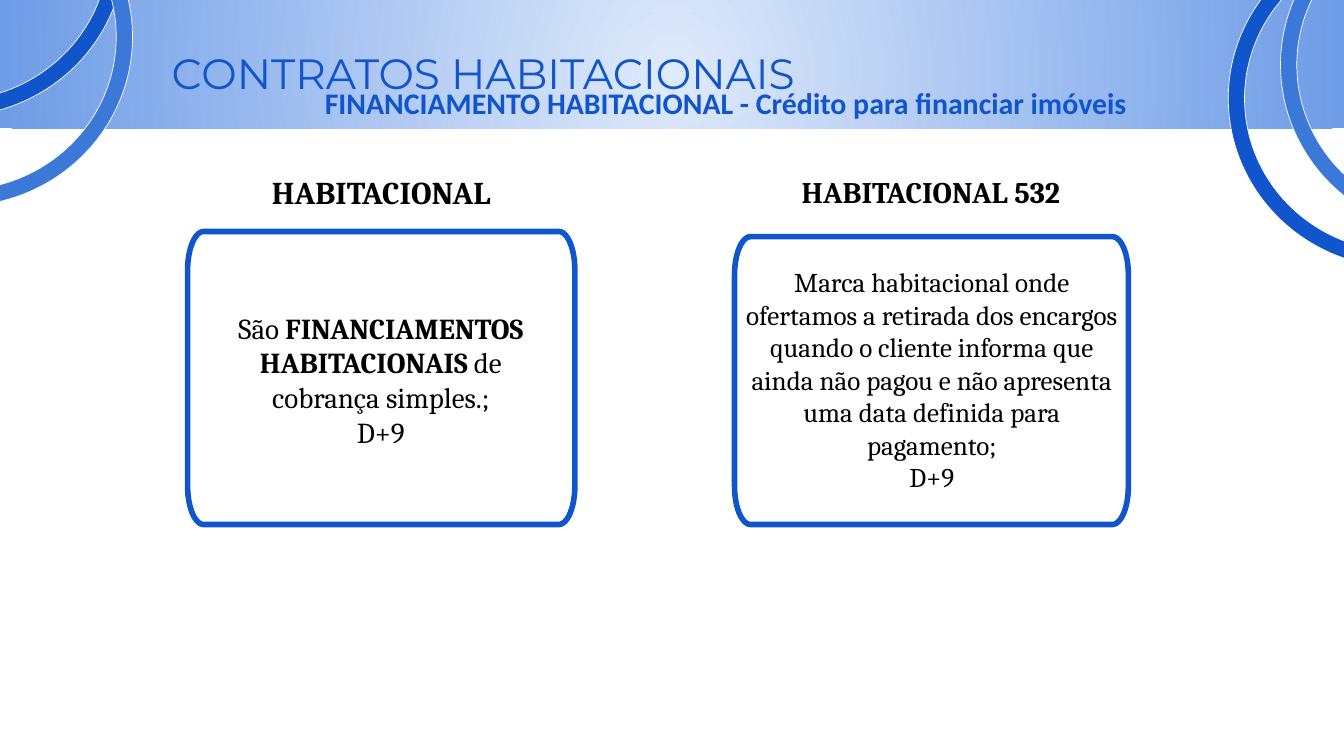
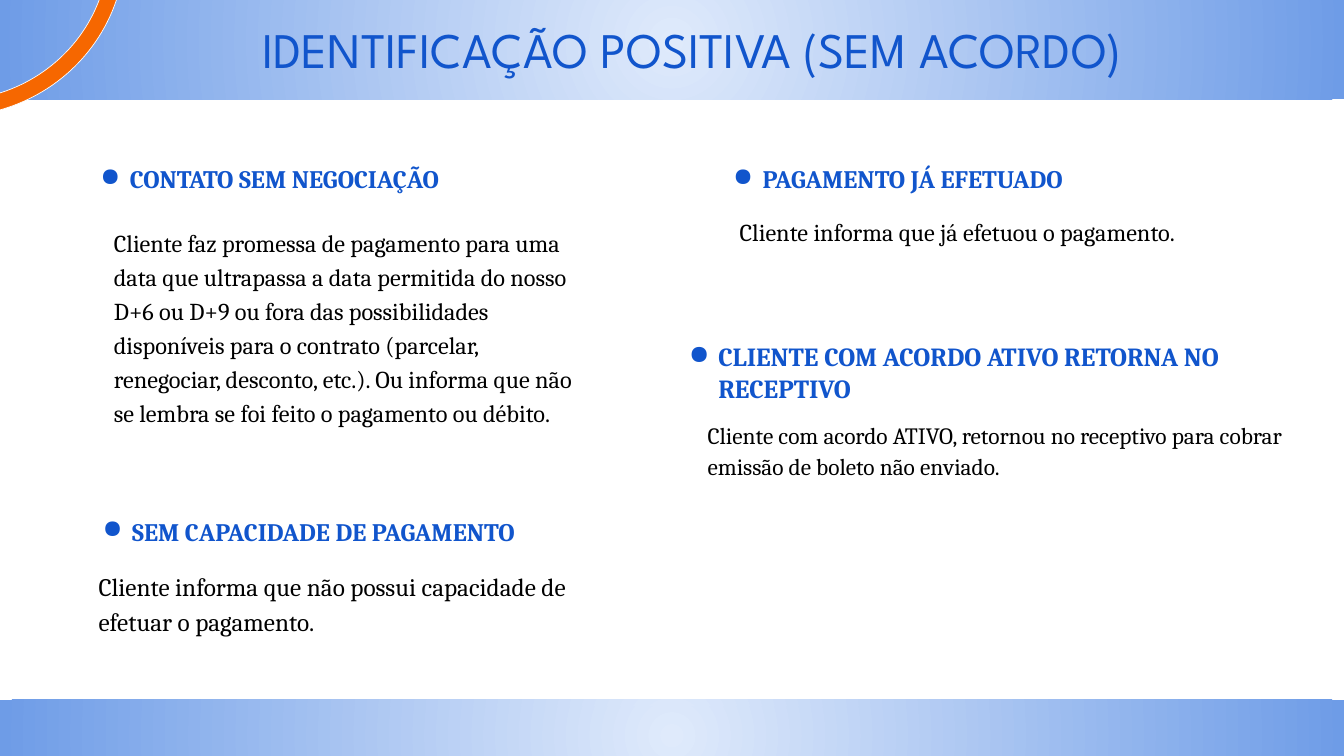
from dataclasses import dataclass
from math import cos, pi, sin
from typing import Any

from lxml.etree import SubElement
from pptx import Presentation
from pptx.dml.color import RGBColor
from pptx.enum.shapes import MSO_SHAPE
from pptx.enum.text import MSO_ANCHOR, MSO_AUTO_SIZE, PP_ALIGN
from pptx.oxml.ns import qn
from pptx.util import Pt

Area = tuple[float, float, float, float]
Run = tuple[str, bool]


@dataclass(frozen=True)
class Theme:
    blue: str = "1155CC"
    mid_blue: str = "3C78D8"
    orange: str = "F66700"
    black: str = "000000"
    white: str = "FFFFFF"
    glow: str = "DFEAFB"
    band: str = "6E9CE7"
    title_font: str = "Montserrat"
    wide_font: str = "League Spartan"
    sub_font: str = "Calibri"
    body_font: str = "Cambria"
    title_size: float = 45.3
    wide_size: float = 53.3
    sub_size: float = 32
    card_line: float = 6
    thin_line: float = 0.75
    body_spacing: float = 1.17
    title_spacing: float = 1.39


T = Theme()
WIDTH, HEIGHT = 1440, 810


@dataclass(frozen=True)
class Style:
    size: float
    font: str = T.body_font
    color: str = T.black
    align: PP_ALIGN = PP_ALIGN.LEFT
    spacing: float = 1.0
    inset: float = 7.2
    bottom: float | None = None
    indent: float = 0
    bullet: bool = False
    grow: bool = False
    outlined: bool = False
    anchor: MSO_ANCHOR = MSO_ANCHOR.TOP


@dataclass(frozen=True)
class Label:
    area: Area
    paragraphs: list[list[Run]]
    style: Style


@dataclass(frozen=True)
class Ring:
    left: float
    top: float
    color: str


@dataclass(frozen=True)
class Band:
    top: float
    height: float


def line(text: str, bold: bool = False) -> list[list[Run]]:
    return [[(text, bold)]]


def heading(size: float, spacing: float = T.body_spacing, grow: bool = True) -> Style:
    return Style(size, color=T.blue, spacing=spacing, bullet=True, grow=grow)


def centered(size: float, inset: float) -> Style:
    return Style(size, align=PP_ALIGN.CENTER, inset=inset, grow=True)


def assign(target: Any, values: dict[str, Any]) -> None:
    for name, value in values.items():
        setattr(target, name, value)


def box(area: Area) -> list[int]:
    return [Pt(v) for v in area]


def outline(s: Any, color: str, width: float) -> None:
    s.shadow.inherit = False
    s.line.color.rgb = RGBColor.from_string(color)
    s.line.width = Pt(width)


def draw_band(slide: Any, band: Band) -> None:
    lip = round(band.height * 0.094, 2)
    for drop in (0, lip):
        area = (0, band.top + drop, WIDTH, band.height - drop)
        s = slide.shapes.add_shape(MSO_SHAPE.RECTANGLE, *box(area))
        s.shadow.inherit = False
        s.line.fill.background()
        s.fill.gradient()
        for stop, color in zip(s.fill.gradient_stops, (T.glow, T.band)):
            stop.color.rgb = RGBColor.from_string(color)
        grad = s._element.spPr.find(qn("a:gradFill"))
        grad.remove(grad.find(qn("a:lin")))
        radial = SubElement(grad, qn("a:path"), {"path": "circle"})
        SubElement(radial, qn("a:fillToRect"), {side: "50000" for side in "ltrb"})


def draw_ring(slide: Any, ring: Ring) -> None:
    s = slide.shapes.add_shape(MSO_SHAPE.DONUT, *box((ring.left, ring.top, 372, 363)))
    s.adjustments[0] = 0.048
    s.fill.solid()
    s.fill.fore_color.rgb = RGBColor.from_string(ring.color)
    outline(s, T.white, T.thin_line)


def draw_card(slide: Any, area: Area, steps: int = 12) -> None:
    left, top, width, height = area
    rx, ry = 17.3, height * 0.133
    corners = [
        (left + width - rx, top + ry, -pi / 2),
        (left + width - rx, top + height - ry, 0),
        (left + rx, top + height - ry, pi / 2),
        (left + rx, top + ry, pi),
    ]
    points = [
        (Pt(x + rx * cos(start + i * pi / 2 / steps)), Pt(y + ry * sin(start + i * pi / 2 / steps)))
        for x, y, start in corners
        for i in range(steps + 1)
    ]
    builder = slide.shapes.build_freeform(*points[0])
    builder.add_line_segments(points[1:], close=True)
    s = builder.convert_to_shape()
    s.fill.background()
    outline(s, T.blue, T.card_line)


def add_bullet(p: Any) -> None:
    pPr = p._p.get_or_add_pPr()
    pPr.set("marL", str(Pt(36)))
    pPr.set("indent", str(-Pt(31.5)))
    color = SubElement(pPr, qn("a:buClr"))
    SubElement(color, qn("a:srgbClr"), val=T.blue)
    SubElement(pPr, qn("a:buChar"), char="●")


def draw_label(slide: Any, label: Label) -> None:
    st = label.style
    if st.outlined:
        s = slide.shapes.add_shape(MSO_SHAPE.RECTANGLE, *box(label.area))
        s.fill.background()
        outline(s, T.white, T.thin_line)
    else:
        s = slide.shapes.add_textbox(*box(label.area))
    tf = s.text_frame
    bottom = st.inset if st.bottom is None else st.bottom
    assign(tf, {
        "word_wrap": True,
        "auto_size": MSO_AUTO_SIZE.SHAPE_TO_FIT_TEXT if st.grow else MSO_AUTO_SIZE.NONE,
        "vertical_anchor": st.anchor,
        "margin_left": Pt(st.inset),
        "margin_right": Pt(st.inset),
        "margin_top": Pt(st.inset),
        "margin_bottom": Pt(bottom),
    })
    for i, runs in enumerate(label.paragraphs):
        p = tf.add_paragraph() if i else tf.paragraphs[0]
        if st.bullet:
            add_bullet(p)
        elif st.indent:
            p._p.get_or_add_pPr().set("marL", str(Pt(st.indent)))
        assign(p, {"alignment": st.align, "line_spacing": st.spacing})
        for text, bold in runs:
            r = p.add_run()
            r.text = text
            assign(r.font, {"name": st.font, "size": Pt(st.size), "bold": bold})
            r.font.color.rgb = RGBColor.from_string(st.color)


def build_contracts(slide: Any) -> None:
    draw_band(slide, Band(0, 137.5))
    for ring in (Ring(-238, -238, T.blue), Ring(1316, -76, T.blue)):
        draw_ring(slide, ring)
    draw_label(slide, Label(
        (184, 29.5, 732, 55), line("CONTRATOS HABITACIONAIS"),
        Style(T.title_size, T.title_font, T.blue, spacing=T.title_spacing, inset=0, grow=True)))
    draw_label(slide, Label(
        (295, 77, 966, 55),
        line("FINANCIAMENTO HABITACIONAL - Crédito para financiar imóveis", True),
        Style(T.sub_size, T.sub_font, T.blue, PP_ALIGN.CENTER, T.body_spacing)))
    for ring in (Ring(-230, -142, T.mid_blue), Ring(1372, -112, T.mid_blue)):
        draw_ring(slide, ring)
    for area in ((201, 248, 415, 314), (787, 253.5, 422, 308.5)):
        draw_card(slide, area)
    deadline = line("D+9")
    labels = [
        Label((793, 284.5, 411, 246), line(
            "Marca habitacional onde ofertamos a retirada dos encargos quando o cliente "
            "informa que ainda não pagou e não apresenta uma data definida para pagamento;"
        ) + deadline, centered(29, 0)),
        Label((219, 332.5, 378, 150), [[
            ("São ", False), ("FINANCIAMENTOS HABITACIONAIS", True),
            (" de cobrança simples.;", False)]] + deadline, centered(31, 0)),
        Label((827, 178.5, 341, 53), line("HABITACIONAL 532", True), centered(32, 7.2)),
        Label((255, 178, 307, 55), line("HABITACIONAL", True), centered(34, 7.2)),
    ]
    for label in labels:
        draw_label(slide, label)


def build_identification(slide: Any) -> None:
    draw_band(slide, Band(-31, 137.5))
    draw_ring(slide, Ring(-238, -238, T.orange))
    draw_band(slide, Band(750, 70))
    note = {"spacing": T.body_spacing, "outlined": True}
    labels = [
        Label((145.5, -5, 1192, 86), line("IDENTIFICAÇÃO POSITIVA (SEM ACORDO)"),
              Style(T.wide_size, T.wide_font, T.blue, PP_ALIGN.CENTER, T.title_spacing, 0)),
        Label((788, 223, 513, 125), line("Cliente informa que já efetuou o pagamento."),
              Style(26, inset=4.5, **note)),
        Label((774, 162, 510, 47.5), line("PAGAMENTO JÁ EFETUADO", True), heading(27)),
        Label((117.5, 248, 513, 276), line(
            "Cliente faz promessa de pagamento para uma data que ultrapassa a data permitida "
            "do nosso D+6 ou D+9 ou fora das possibilidades disponíveis para o contrato "
            "(parcelar, renegociar, desconto, etc.). Ou informa que não se lembra se foi "
            "feito o pagamento ou débito."),
            Style(26, inset=4.5, bottom=80, anchor=MSO_ANCHOR.MIDDLE, **note)),
        Label((96, 162, 510, 47.5), line("CONTATO SEM NEGOCIAÇÃO", True), heading(27)),
        Label((98.5, 540, 532, 47.5), line("SEM CAPACIDADE DE PAGAMENTO", True), heading(27)),
        Label((98.5, 599, 551, 94.5), line(
            "Cliente informa que não possui capacidade de efetuar o pagamento."),
            Style(27, **note)),
        Label((726.5, 358, 682, 53), line(
            "CLIENTE COM ACORDO ATIVO RETORNA NO RECEPTIVO", True), heading(28, 1.0, False)),
        Label((746.5, 440, 641, 79), line(
            "Cliente com acordo ATIVO, retornou no receptivo para cobrar emissão de boleto "
            "não enviado."), Style(25, spacing=1.12, indent=4.5, grow=True)),
    ]
    for label in labels:
        draw_label(slide, label)


def main() -> None:
    prs = Presentation()
    assign(prs, {"slide_width": Pt(WIDTH), "slide_height": Pt(HEIGHT)})
    for build in (build_contracts, build_identification):
        build(prs.slides.add_slide(prs.slide_layouts[6]))
    prs.save("out.pptx")


if __name__ == "__main__":
    main()
